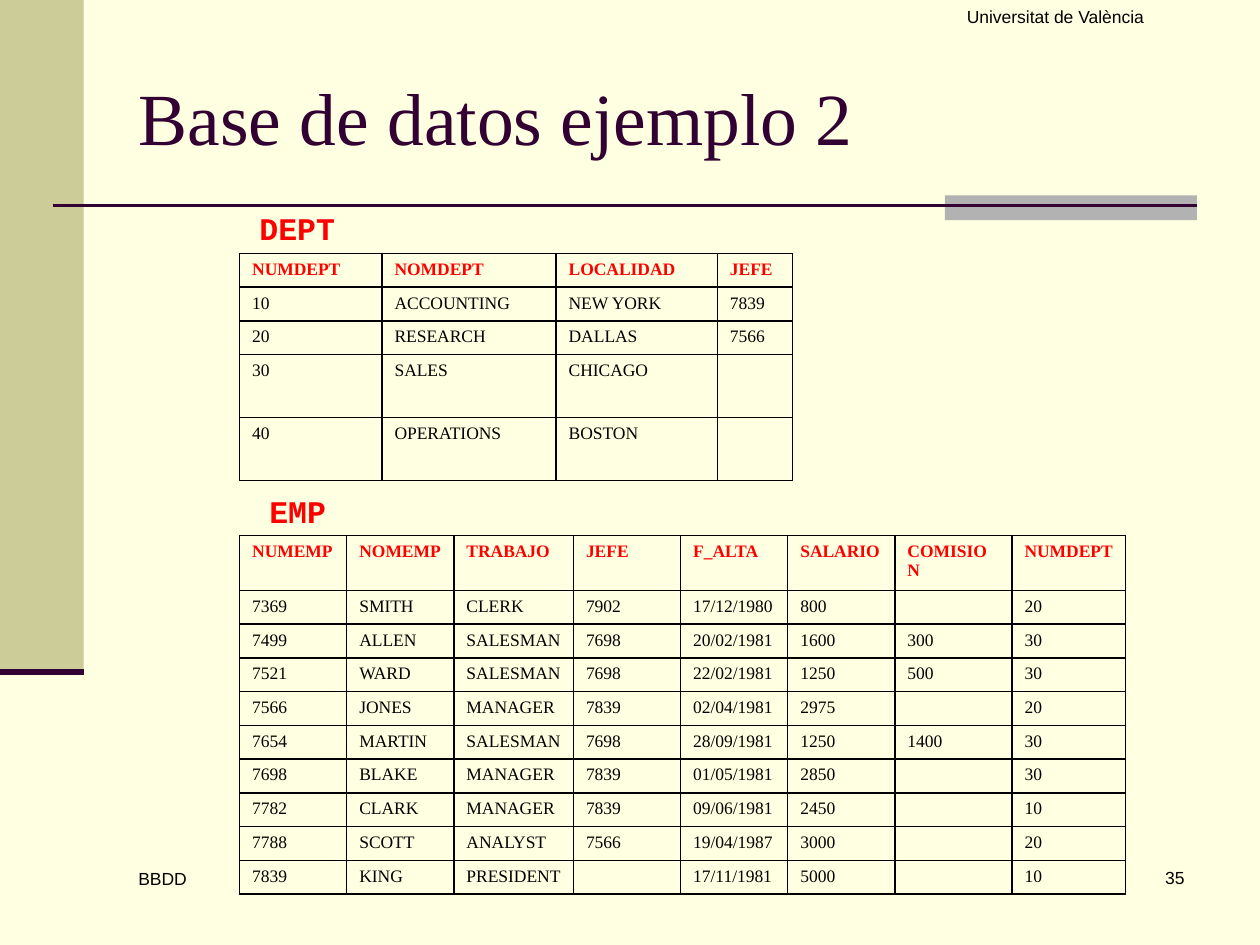
from dataclasses import dataclass

from lxml.etree import SubElement
from pptx import Presentation
from pptx.dml.color import RGBColor
from pptx.enum.shapes import MSO_CONNECTOR as Connector, MSO_SHAPE as Preset
from pptx.enum.text import MSO_ANCHOR as Anchor, MSO_AUTO_SIZE as AutoSize, PP_ALIGN as Align
from pptx.oxml.ns import qn
from pptx.util import Cm, Pt


@dataclass(frozen=True)
class Theme:
    background: str = "FFFFE1"
    sidebar: str = "CCCC99"
    accent: str = "B2B2B2"
    purple: str = "330033"
    red: str = "FF0000"
    black: str = "000000"
    serif: str = "Times New Roman"
    sans: str = "Arial"
    mono: str = "Courier New"
    title_size: int = 42
    label_size: int = 18
    small_size: int = 10


theme = Theme()


def write(paragraph, text, font, size, color, bold=False, align=Align.LEFT):
    paragraph.alignment = align
    run = paragraph.add_run()
    run.text = text
    run.font.name = font
    run.font.size = Pt(size)
    run.font.bold = bold
    run.font.color.rgb = RGBColor.from_string(color)


def add_bordered_table(slide, left, top, widths, heights, rows, align):
    table = slide.shapes.add_table(len(rows), len(widths), Cm(left), Cm(top),
                                   Cm(sum(widths)), Cm(sum(heights))).table
    table.first_row = table.horz_banding = False
    for column, width in zip(table.columns, widths):
        column.width = Cm(width)
    for row_index, (row, height) in enumerate(zip(rows, heights)):
        table.rows[row_index].height = Cm(height)
        header = row_index == 0
        for column_index, text in enumerate(row):
            cell = table.cell(row_index, column_index)
            paragraph = cell.text_frame.paragraphs[0]
            if text:
                write(paragraph, text, theme.serif, theme.small_size,
                      theme.red if header else theme.black, header, align)
            else:  # keeps an empty cell from stretching its row
                SubElement(paragraph._p, qn("a:endParaRPr"), sz=str(theme.small_size * 100))
            properties = cell._tc.get_or_add_tcPr()
            for side in ("L", "R", "T", "B"):
                border = SubElement(properties, qn(f"a:ln{side}"), w=str(Pt(1)))
                fill = SubElement(border, qn("a:solidFill"))
                SubElement(fill, qn("a:srgbClr"), val=theme.black)
            cell.fill.background()


presentation = Presentation()
presentation.slide_width, presentation.slide_height = Cm(25.4), Cm(19.05)
slide = presentation.slides.add_slide(presentation.slide_layouts[5])
slide.background.fill.solid()
slide.background.fill.fore_color.rgb = RGBColor.from_string(theme.background)

# Side band and accent block
for left, top, width, height, color in [
    (0, 0, 1.69, 13.54, theme.sidebar),
    (19.05, 3.94, 5.08, 0.5, theme.accent),
]:
    shape = slide.shapes.add_shape(Preset.RECTANGLE, Cm(left), Cm(top), Cm(width), Cm(height))
    shape.shadow.inherit = False
    shape.fill.solid()
    shape.fill.fore_color.rgb = RGBColor.from_string(color)
    shape.line.fill.background()

# Rules under the title and the side band
for start, end, y, weight in [(1.06, 24.13, 4.14, 1.5), (0, 1.69, 13.54, 3.5)]:
    rule = slide.shapes.add_connector(Connector.STRAIGHT, Cm(start), Cm(y), Cm(end), Cm(y))
    rule.line.color.rgb = RGBColor.from_string(theme.purple)
    rule.line.width = Pt(weight)
    SubElement(rule._element.spPr, qn("a:effectLst"))

# Title
title = slide.shapes.title
title.left, title.top, title.width, title.height = Cm(2.54), Cm(0.76), Cm(21.59), Cm(3.18)
title.text_frame.auto_size = AutoSize.NONE
title.text_frame.vertical_anchor = Anchor.MIDDLE
write(title.text_frame.paragraphs[0], "Base de datos ejemplo 2",
      theme.serif, theme.title_size, theme.purple)

# Header, footer and page number
for text, left, top, width, align in [
    ("35", 18.85, 17.35, 5.28, Align.RIGHT),
    ("Universitat de València", 17.15, 0, 8.25, Align.CENTER),
    ("BBDD", 2.54, 17.37, 5.51, Align.LEFT),
]:
    box = slide.shapes.add_textbox(Cm(left), Cm(top), Cm(width), Cm(1.27))
    box.text_frame.word_wrap = True
    write(box.text_frame.paragraphs[0], text, theme.sans, theme.small_size,
          theme.black, align=align)

# Department and employee tables
row_height, tall_row = 0.68, 1.27
departments = [
    ("NUMDEPT", "NOMDEPT", "LOCALIDAD", "JEFE"),
    ("10", "ACCOUNTING", "NEW YORK", "7839"),
    ("20", "RESEARCH", "DALLAS", "7566"),
    ("30", "SALES", "CHICAGO", ""),
    ("40", "OPERATIONS", "BOSTON", ""),
]
employees = [
    ("NUMEMP", "NOMEMP", "TRABAJO", "JEFE", "F_ALTA", "SALARIO", "COMISION", "NUMDEPT"),
    ("7369", "SMITH", "CLERK", "7902", "17/12/1980", "800", "", "20"),
    ("7499", "ALLEN", "SALESMAN", "7698", "20/02/1981", "1600", "300", "30"),
    ("7521", "WARD", "SALESMAN", "7698", "22/02/1981", "1250", "500", "30"),
    ("7566", "JONES", "MANAGER", "7839", "02/04/1981", "2975", "", "20"),
    ("7654", "MARTIN", "SALESMAN", "7698", "28/09/1981", "1250", "1400", "30"),
    ("7698", "BLAKE", "MANAGER", "7839", "01/05/1981", "2850", "", "30"),
    ("7782", "CLARK", "MANAGER", "7839", "09/06/1981", "2450", "", "10"),
    ("7788", "SCOTT", "ANALYST", "7566", "19/04/1987", "3000", "", "20"),
    ("7839", "KING", "PRESIDENT", "", "17/11/1981", "5000", "", "10"),
]
add_bordered_table(slide, 4.83, 5.11, [2.87, 3.51, 3.25, 1.52],
                   [row_height] * 3 + [tall_row] * 2, departments, Align.LEFT)
add_bordered_table(slide, 4.83, 10.8, [2.16, 2.16, 2.41, 2.16, 2.16, 2.16, 2.36, 2.29],
                   [row_height] * len(employees), employees, Align.JUSTIFY)

# Table names
for text, left, top, width in [("DEPT", 4.98, 4.09, 2.03), ("EMP", 5.18, 9.8, 1.65)]:
    label = slide.shapes.add_textbox(Cm(left), Cm(top), Cm(width), Cm(1.02))
    label.text_frame.word_wrap = False
    label.text_frame.auto_size = AutoSize.SHAPE_TO_FIT_TEXT
    write(label.text_frame.paragraphs[0], text, theme.mono, theme.label_size, theme.red, True)

presentation.save("out.pptx")
